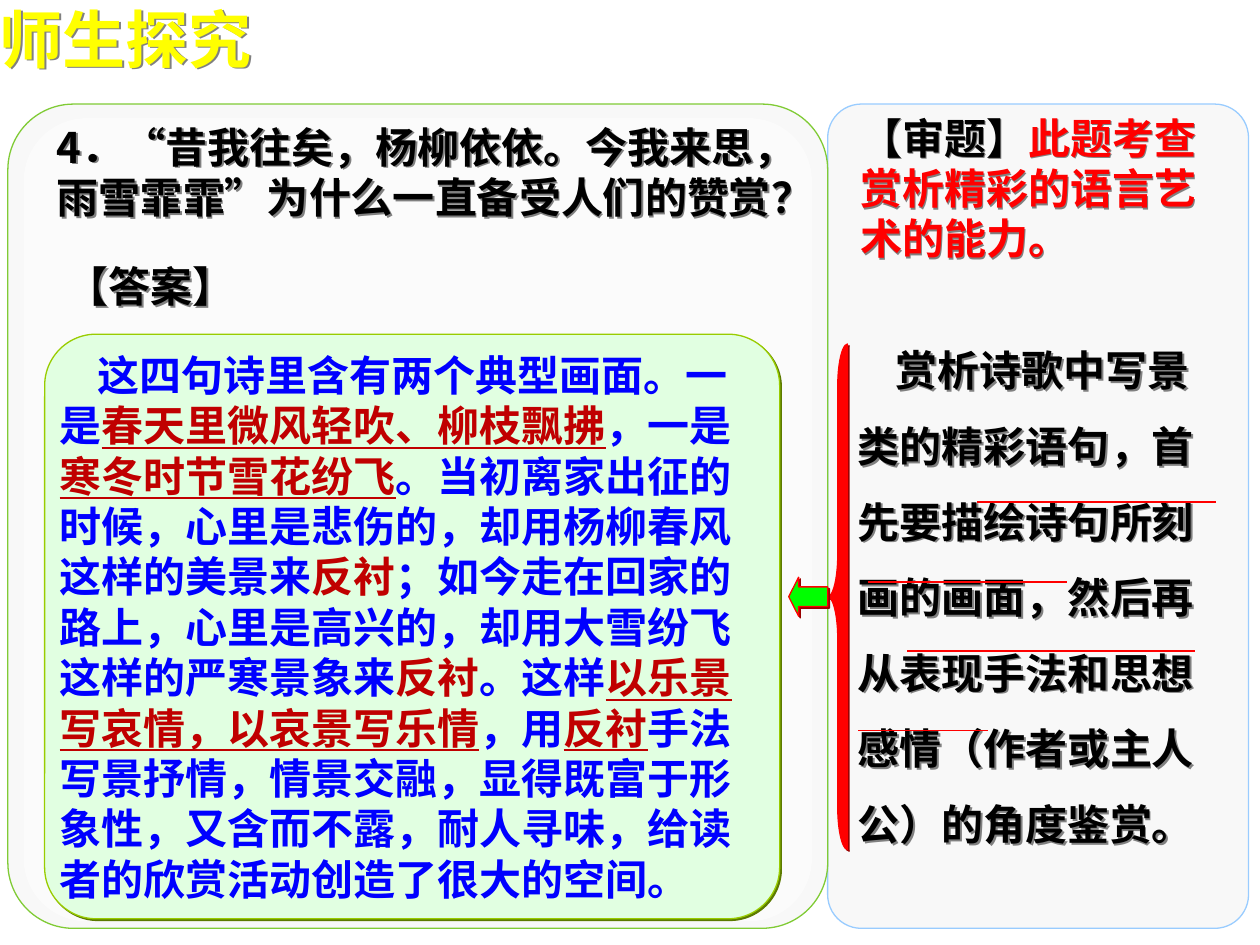
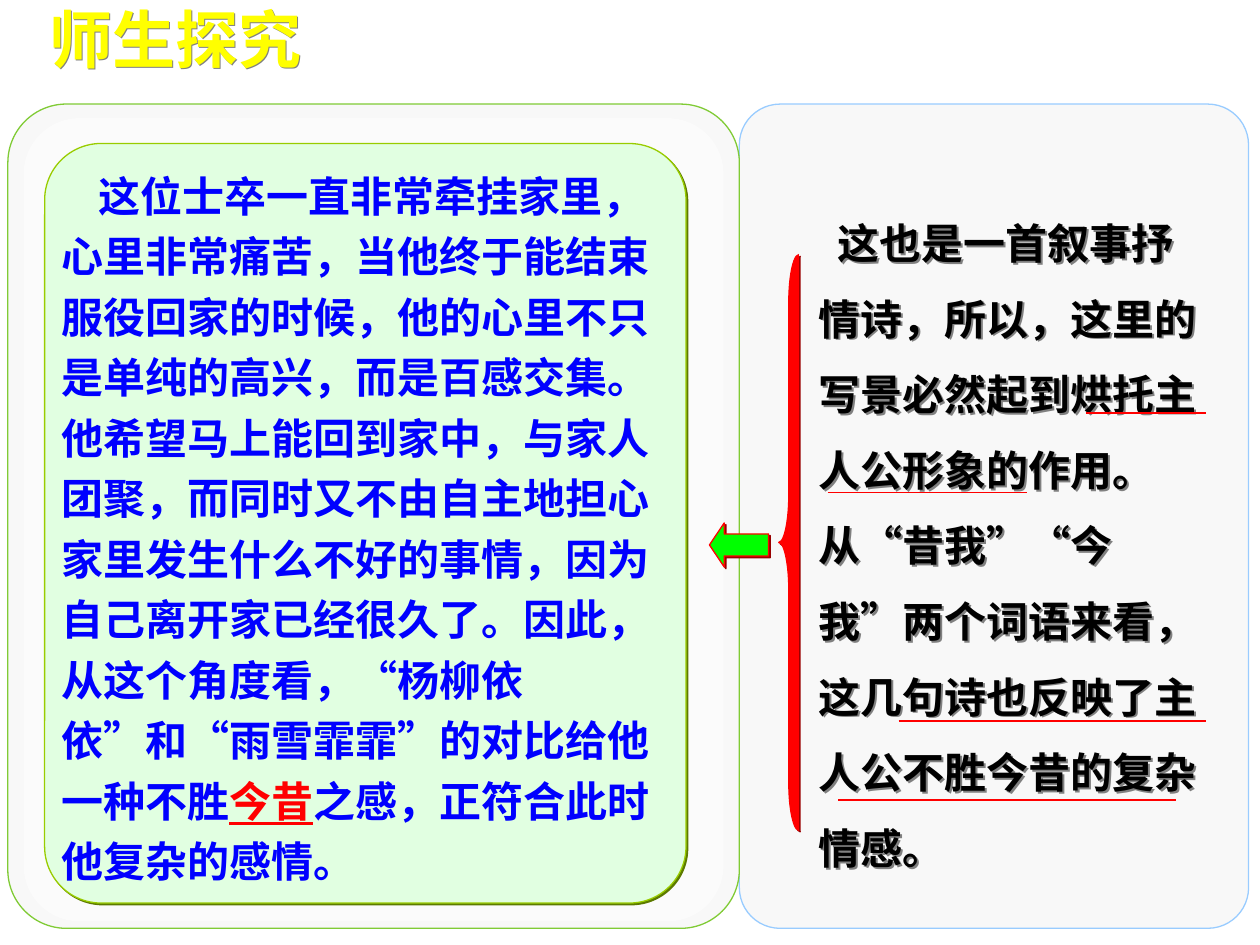
from dataclasses import dataclass
from typing import NamedTuple

import lxml.etree
import pptx
import pptx.dml.color
import pptx.enum.shapes
import pptx.enum.text
import pptx.oxml.ns
import pptx.util

Pt = pptx.util.Pt
qn = pptx.oxml.ns.qn
SHAPE = pptx.enum.shapes.MSO_SHAPE
ANCHOR = pptx.enum.text.MSO_ANCHOR

ARIAL, NOTO = "Arial", "Noto Sans CJK SC"
BLACK, WHITE, RED, BLUE = "000000", "FFFFFF", "FF0000", "0000FF"
YELLOW, LIME, CRIMSON = "FFFF00", "00FF00", "C00000"
PANEL, PANEL_GREEN, PANEL_BLUE = "F8F8F8", "80CB35", "99CCFF"
MINT, MINT_LINE, MINT_SHADOW = "E1FFE1", "99CC00", "5C7A00"
RED_SHADOW, TEXT_SHADOW = "990000", "808080"
PANEL_LEFT, PANEL_RIGHT, PANEL_TOP, PANEL_HEIGHT = 4.5, 713.5, 59.5, 471
PANEL_CORNER, ANSWER_CORNER = 0.08, 0.088
BOX_INSETS = (7.2, 3.6, 7.2, 3.6)
NOTE_INSETS = (0, 8.6, 0, 2.9)
NO_INSETS = (0, 0, 0, 0)


class Box(NamedTuple):
    left: float
    top: float
    width: float
    height: float


class Run(NamedTuple):
    text: str
    color: str
    underline: bool = False


class Underline(NamedTuple):
    left: float
    right: float
    top: float


@dataclass
class TextBox:
    box: Box
    runs: list[Run]
    font: str = ARIAL
    size: float = 24
    insets: tuple = BOX_INSETS
    anchor: ANCHOR = ANCHOR.TOP
    spacing: float = 1
    indent: float = 0


@dataclass
class Lesson:
    title: Box
    split: float
    answer: Box
    answer_runs: list[Run]
    answer_spacing: float
    brace: Box
    arrow: Box
    arrow_head: float
    text_boxes: list[TextBox]
    underlines: list[Underline]


def rgb(value: str) -> pptx.dml.color.RGBColor:
    return pptx.dml.color.RGBColor.from_string(value)


def set_shadow(shape, color: str | None) -> None:
    shape.shadow.inherit = False
    if color:
        effects = shape._element.spPr.find(qn("a:effectLst"))
        outer = lxml.etree.SubElement(
            effects, qn("a:outerShdw"), dist=str(Pt(1.4)), dir="2700000",
            algn="ctr", rotWithShape="0")
        lxml.etree.SubElement(outer, qn("a:srgbClr"), val=color)


def add_shape(slide, kind: SHAPE, box: Box, fill: str, line: str | None = None,
              shadow: str | None = None, adjustments: tuple = (), opacity: int = 100):
    shape = slide.shapes.add_shape(kind, *map(Pt, box))
    for index, value in enumerate(adjustments):
        shape.adjustments[index] = value
    shape.fill.solid()
    shape.fill.fore_color.rgb = rgb(fill)
    if opacity < 100:
        color = shape._element.spPr.find(qn("a:solidFill"))[0]
        lxml.etree.SubElement(color, qn("a:alpha"), val=str(opacity * 1000))
    if line:
        shape.line.color.rgb = rgb(line)
        shape.line.width = Pt(0.75)
    else:
        shape.line.fill.background()
    set_shadow(shape, shadow)
    return shape


def write_text(shape, runs: list[Run], *, font: str, size: float = 24,
               insets: tuple = NO_INSETS, anchor: ANCHOR = ANCHOR.TOP,
               spacing: float = 1, indent: float = 0) -> None:
    frame = shape.text_frame
    frame.word_wrap = True
    frame.auto_size = pptx.enum.text.MSO_AUTO_SIZE.SHAPE_TO_FIT_TEXT
    frame.vertical_anchor = anchor
    (frame.margin_left, frame.margin_top,
     frame.margin_right, frame.margin_bottom) = map(Pt, insets)
    paragraph = frame.paragraphs[0]
    paragraph.alignment = pptx.enum.text.PP_ALIGN.LEFT
    paragraph.line_spacing = spacing
    if indent:
        paragraph._p.get_or_add_pPr().set("indent", str(Pt(indent)))
    for part in runs:
        run = paragraph.add_run()
        run.text = part.text
        run.font.name = font
        run.font.size = Pt(size)
        run.font.bold = True
        run.font.underline = part.underline
        run.font.color.rgb = rgb(part.color)
        latin = run._r.get_or_add_rPr().find(qn("a:latin"))
        latin.addnext(latin.makeelement(qn("a:ea"), {"typeface": NOTO}))


def add_text_box(slide, item: TextBox) -> None:
    shape = slide.shapes.add_textbox(*map(Pt, item.box))
    set_shadow(shape, TEXT_SHADOW)
    write_text(shape, item.runs, font=item.font, size=item.size, insets=item.insets,
               anchor=item.anchor, spacing=item.spacing, indent=item.indent)


def add_underline(slide, item: Underline) -> None:
    connector = slide.shapes.add_connector(
        pptx.enum.shapes.MSO_CONNECTOR.STRAIGHT,
        Pt(item.left), Pt(item.top), Pt(item.right), Pt(item.top))
    connector.line.color.rgb = rgb(RED)
    connector.line.width = Pt(1)
    lxml.etree.SubElement(connector._element.spPr, qn("a:effectLst"))


def add_panels(slide, split: float) -> None:
    right = Box(split, PANEL_TOP, PANEL_RIGHT - split, PANEL_HEIGHT)
    left = Box(PANEL_LEFT, PANEL_TOP, split - PANEL_LEFT, PANEL_HEIGHT)
    glow = Box(left.left + 9, left.top + 8, left.width - 18, left.height - 12)
    corner = (PANEL_CORNER,)
    add_shape(slide, SHAPE.ROUNDED_RECTANGLE, right, PANEL, PANEL_BLUE, adjustments=corner)
    add_shape(slide, SHAPE.ROUNDED_RECTANGLE, left, PANEL, PANEL_GREEN, adjustments=corner)
    add_shape(slide, SHAPE.ROUNDED_RECTANGLE, glow, WHITE, adjustments=corner, opacity=50)


def add_brace_and_arrow(slide, brace: Box, arrow: Box, arrow_head: float) -> None:
    curve = brace.height / 12 / brace.width
    add_shape(slide, SHAPE.LEFT_BRACE, brace, RED, RED, RED_SHADOW, (curve, 0.5))
    pointer = add_shape(slide, SHAPE.DOWN_ARROW, arrow, LIME, RED, RED_SHADOW,
                        (0.5, arrow_head))
    pointer.rotation = 90


def add_lesson(presentation, lesson: Lesson) -> None:
    slide = presentation.slides.add_slide(presentation.slide_layouts[6])
    add_panels(slide, lesson.split)
    add_text_box(slide, TextBox(lesson.title, [Run("师生探究", YELLOW)],
                                size=36, insets=NO_INSETS))
    answer = add_shape(slide, SHAPE.ROUNDED_RECTANGLE, lesson.answer, MINT, MINT_LINE,
                       MINT_SHADOW, (ANSWER_CORNER,))
    write_text(answer, lesson.answer_runs, font=NOTO, anchor=ANCHOR.MIDDLE,
               spacing=lesson.answer_spacing, indent=21.5)
    for item in lesson.text_boxes:
        add_text_box(slide, item)
    add_brace_and_arrow(slide, lesson.brace, lesson.arrow, lesson.arrow_head)
    for underline in lesson.underlines:
        add_underline(slide, underline)


LESSONS = [
    Lesson(
        title=Box(0, 0, 241, 43),
        split=473,
        answer=Box(25.5, 191, 420, 334),
        answer_runs=[
            Run("这四句诗里含有两个典型画面。一是", BLUE),
            Run("春天里微风轻吹、柳枝飘拂", CRIMSON, True),
            Run("，一是", BLUE),
            Run("寒冬时节雪花纷飞", CRIMSON, True),
            Run("。当初离家出征的时候，心里是悲伤的，却用杨柳春风这样的美景来", BLUE),
            Run("反衬", CRIMSON),
            Run("；如今走在回家的路上，心里是高兴的，却用大雪纷飞这样的严寒景象来", BLUE),
            Run("反衬", CRIMSON),
            Run("。这样", BLUE),
            Run("以乐景写哀情，以哀景写乐情", CRIMSON, True),
            Run("，用", BLUE),
            Run("反衬", CRIMSON, True),
            Run("手法写景抒情，情景交融，显得既富于形象性，又含而不露，耐人寻味，"
                "给读者的欣赏活动创造了很大的空间。", BLUE),
        ],
        answer_spacing=1,
        brace=Box(473, 196.5, 11.5, 289),
        arrow=Box(450.7, 329.8, 22.3, 22.3),
        arrow_head=0.253,
        text_boxes=[
            TextBox(Box(25.5, 65.5, 453.5, 65),
                    [Run("4．“昔我往矣，杨柳依依。今我来思，雨雪霏霏”"
                         "为什么一直备受人们的赞赏？", BLACK)],
                    font=NOTO, anchor=ANCHOR.MIDDLE),
            TextBox(Box(484.5, 60.5, 221, 93.5),
                    [Run("【审题】", BLACK),
                     Run("此题考查赏析精彩的语言艺术的能力。", RED)]),
            TextBox(Box(490.3, 152, 204.5, 358),
                    [Run("赏析诗歌中写景类的精彩语句，首先要描绘诗句所刻画的画面，"
                         "然后再从表现手法和思想感情（作者或主人公）的角度鉴赏。", BLACK)],
                    insets=NOTE_INSETS, anchor=ANCHOR.MIDDLE, spacing=1.5, indent=21.5),
            TextBox(Box(31, 145.5, 130, 36), [Run("【答案】", BLACK)]),
        ],
        underlines=[
            Underline(558.5, 695, 287),
            Underline(496, 610, 332.5),
            Underline(518.5, 683, 372),
            Underline(490.5, 564.5, 417.5),
        ],
    ),
    Lesson(
        title=Box(28, 0, 184.5, 43),
        split=422.5,
        answer=Box(25.5, 82, 366.5, 434),
        answer_runs=[
            Run("这位士卒一直非常牵挂家里，心里非常痛苦，当他终于能结束服役回家的时候，"
                "他的心里不只是单纯的高兴，而是百感交集。他希望马上能回到家中，与家人团聚，"
                "而同时又不由自主地担心家里发生什么不好的事情，因为自己离开家已经很久了。"
                "因此，从这个角度看，“杨柳依依”和“雨雪霏霏”的对比给他一种不胜", BLUE),
            Run("今昔", RED, True),
            Run("之感，正符合此时他复杂的感情。", BLUE),
        ],
        answer_spacing=1.2,
        brace=Box(445, 145.5, 11.5, 329),
        arrow=Box(409.7, 294.5, 25.2, 33.8),
        arrow_head=0.333,
        text_boxes=[
            TextBox(Box(468, 101, 221, 401),
                    [Run("这也是一首叙事抒情诗，所以，这里的写景必然起到烘托主人公形象的作用。"
                         "从“昔我”“今我”两个词语来看，这几句诗也反映了主人公不胜今昔的复杂情感。",
                         BLACK)],
                    font=NOTO, insets=NOTE_INSETS, anchor=ANCHOR.MIDDLE,
                    spacing=1.5, indent=10.7),
        ],
        underlines=[
            Underline(620.5, 689, 236),
            Underline(473, 587, 281.5),
            Underline(513.5, 689, 412),
            Underline(479, 672, 457),
        ],
    ),
]


def main() -> None:
    presentation = pptx.Presentation()
    presentation.slide_width = Pt(720)
    presentation.slide_height = Pt(540)
    for lesson in LESSONS:
        add_lesson(presentation, lesson)
    presentation.save("out.pptx")


if __name__ == "__main__":
    main()
